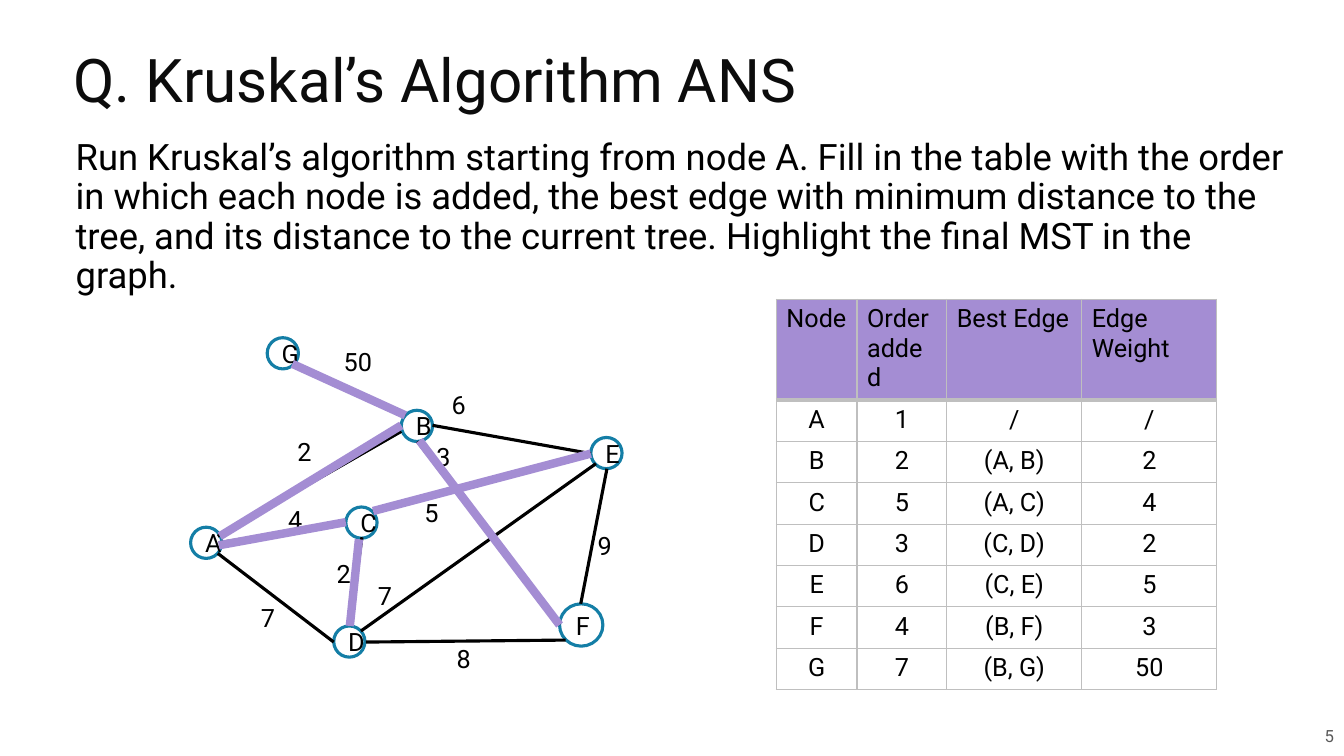
from dataclasses import dataclass
from typing import NamedTuple

from pptx import Presentation
from pptx.dml.color import RGBColor
from pptx.enum.shapes import MSO_CONNECTOR, MSO_SHAPE
from pptx.enum.text import MSO_ANCHOR, PP_ALIGN
from pptx.oxml.ns import qn
from pptx.slide import Slide
from pptx.table import _Cell
from pptx.text.text import TextFrame
from pptx.util import Inches, Pt
from lxml.etree import SubElement


@dataclass(frozen=True)
class Theme:
    font: str = "Roboto"
    black: str = "000000"
    white: str = "FFFFFF"
    title: str = "0C0C0C"
    page: str = "595959"
    ring: str = "147EA6"
    highlight: str = "A48DD3"
    grid: str = "BFBFBF"
    title_size: float = 43
    question_size: float = 26
    text_size: float = 18
    page_size: float = 12
    line: float = 2.25
    highlight_line: float = 6
    grid_line: float = 1
    header_line: float = 3


THEME = Theme()


class Box(NamedTuple):
    left: float
    top: float
    width: float
    height: float


class Node(NamedTuple):
    name: str
    left: float
    top: float
    width: float = 0.31
    height: float = 0.31


class Weight(NamedTuple):
    text: str
    left: float
    top: float
    width: float = 0.35


class Edge(NamedTuple):
    x1: float
    y1: float
    x2: float
    y2: float


NODES = [
    Node("A", 1.89, 5.23), Node("B", 3.98, 4.07), Node("D", 3.31, 6.21),
    Node("F", 5.55, 5.99, 0.43, 0.42), Node("E", 5.86, 4.34),
    Node("C", 3.43, 5.03), Node("G", 2.65, 3.35),
]
EDGES = [
    Edge(3.98, 4.28, 2.16, 5.32), Edge(2.16, 5.49, 3.31, 6.37),
    Edge(3.47, 6.21, 3.59, 5.33), Edge(3.43, 5.18, 2.2, 5.38),
    Edge(3.7, 5.07, 5.86, 4.5), Edge(6.02, 4.65, 5.76, 5.99),
    Edge(5.61, 6.35, 3.63, 6.37), Edge(5.86, 4.5, 4.29, 4.22),
    Edge(5.91, 4.6, 3.58, 6.26), Edge(4.14, 4.38, 5.55, 6.2),
    Edge(4.02, 4.12, 2.92, 3.61),
]
SPANNING_TREE = [
    Edge(3.98, 4.22, 2.18, 5.32), Edge(3.43, 5.18, 2.17, 5.41),
    Edge(3.47, 6.21, 3.56, 5.35), Edge(5.86, 4.5, 3.7, 5.07),
    Edge(5.55, 6.2, 4.16, 4.37), Edge(4.02, 4.12, 2.9, 3.61),
]
WEIGHTS = [
    Weight("50", 3.31, 3.39, 0.58), Weight("6", 4.38, 3.81),
    Weight("3", 4.23, 4.33), Weight("4", 2.76, 4.95),
    Weight("7", 2.49, 5.93), Weight("2", 3.24, 5.49),
    Weight("8", 4.43, 6.33), Weight("9", 5.83, 5.21),
    Weight("5", 4.11, 4.88, 0.44), Weight("7", 3.65, 5.71),
    Weight("2", 2.85, 4.28, 0.58),
]
QUESTION = (
    "Run Kruskal’s algorithm starting from node A. Fill in the table with the "
    "order in which each node is added, the best edge with minimum distance to "
    "the tree, and its distance to the current tree. Highlight the final MST in "
    "the graph."
)
ANSWERS = [
    ("Node", "Order added", "Best Edge", "Edge Weight"),
    ("A", "1", "/", "/"),
    ("B", "2", "(A, B)", "2"),
    ("C", "5", "(A, C)", "4"),
    ("D", "3", "(C, D)", "2"),
    ("E", "6", "(C, E)", "5"),
    ("F", "4", "(B, F)", "3"),
    ("G", "7", "(B, G)", "50"),
]
COLUMN_WIDTHS = (0.8, 0.89, 1.34, 1.34)
HEADER_HEIGHT, ROW_HEIGHT = 0.67, 0.41


def write(frame: TextFrame, text: str, size: float = THEME.text_size,
          color: str = THEME.black, align: PP_ALIGN = PP_ALIGN.LEFT,
          spacing: float = 1.0) -> None:
    frame.word_wrap = True
    paragraph = frame.paragraphs[0]
    paragraph.text = text
    paragraph.alignment = align
    paragraph.line_spacing = spacing
    paragraph.font.name = THEME.font
    paragraph.font.size = Pt(size)
    paragraph.font.color.rgb = RGBColor.from_string(color)


def add_text(slide: Slide, box: Box, anchor: MSO_ANCHOR = MSO_ANCHOR.TOP) -> TextFrame:
    frame = slide.shapes.add_textbox(*map(Inches, box)).text_frame
    frame.vertical_anchor = anchor
    return frame


def add_node(slide: Slide, node: Node) -> None:
    circle = slide.shapes.add_shape(MSO_SHAPE.OVAL, *map(Inches, node[1:]))
    circle.shadow.inherit = False
    circle.fill.solid()
    circle.fill.fore_color.rgb = RGBColor.from_string(THEME.white)
    circle.line.color.rgb = RGBColor.from_string(THEME.ring)
    circle.line.width = Pt(THEME.line)
    circle.text_frame.vertical_anchor = MSO_ANCHOR.MIDDLE
    write(circle.text_frame, node.name, align=PP_ALIGN.CENTER)


def add_edge(slide: Slide, edge: Edge, color: str, width: float) -> None:
    connector = slide.shapes.add_connector(MSO_CONNECTOR.STRAIGHT, *map(Inches, edge))
    connector.line.color.rgb = RGBColor.from_string(color)
    connector.line.width = Pt(width)
    SubElement(connector._element.spPr, qn("a:effectLst"))


def set_borders(cell: _Cell, top: float, bottom: float) -> None:
    """Draw the four cell borders; must run before the cell is filled."""
    properties = cell._tc.get_or_add_tcPr()
    side = THEME.grid_line
    for tag, width in (("lnL", side), ("lnR", side), ("lnT", top), ("lnB", bottom)):
        border = SubElement(properties, qn(f"a:{tag}"), w=str(Pt(width)))
        fill = SubElement(border, qn("a:solidFill"))
        SubElement(fill, qn("a:srgbClr"), val=THEME.grid)


def add_answers(slide: Slide) -> None:
    height = HEADER_HEIGHT + ROW_HEIGHT * (len(ANSWERS) - 1)
    box = Box(7.7, 2.97, sum(COLUMN_WIDTHS), height)
    table = slide.shapes.add_table(
        len(ANSWERS), len(COLUMN_WIDTHS), *map(Inches, box)).table
    table.horz_banding = False
    for column, width in zip(table.columns, COLUMN_WIDTHS):
        column.width = Inches(width)
    for r, answer in enumerate(ANSWERS):
        header = r == 0
        table.rows[r].height = Inches(HEADER_HEIGHT if header else ROW_HEIGHT)
        for c, text in enumerate(answer):
            cell = table.cell(r, c)
            set_borders(cell, THEME.header_line if r == 1 else THEME.grid_line,
                        THEME.header_line if header else THEME.grid_line)
            cell.fill.solid()
            cell.fill.fore_color.rgb = RGBColor.from_string(
                THEME.highlight if header else THEME.white)
            write(cell.text_frame, text,
                  align=PP_ALIGN.LEFT if header else PP_ALIGN.CENTER)
            cell.text_frame.paragraphs[0].font.bold = False


def main() -> None:
    deck = Presentation()
    deck.slide_width, deck.slide_height = Inches(13.33), Inches(7.5)
    slide = deck.slides.add_slide(deck.slide_layouts[6])

    write(add_text(slide, Box(8.65, 7.1, 4.68, 0.4), MSO_ANCHOR.MIDDLE), "5",
          THEME.page_size, THEME.page, PP_ALIGN.RIGHT)
    write(add_text(slide, Box(0.63, 0.29, 12.23, 1.11), MSO_ANCHOR.MIDDLE),
          "Q. Kruskal’s Algorithm ANS", THEME.title_size, THEME.title, spacing=0.8)
    for node in NODES:
        add_node(slide, node)
    for edge in EDGES:
        add_edge(slide, edge, THEME.black, THEME.line)
    for weight in WEIGHTS:
        write(add_text(slide, Box(weight.left, weight.top, weight.width, 0.4)),
              weight.text)
    for edge in SPANNING_TREE:
        add_edge(slide, edge, THEME.highlight, THEME.highlight_line)
    question = add_text(slide, Box(0.63, 1.33, 12.23, 1.45))
    question.margin_left, question.margin_right = Inches(0.12), Inches(0.05)
    write(question, QUESTION, THEME.question_size, spacing=0.9)
    add_answers(slide)
    deck.save("out.pptx")


if __name__ == "__main__":
    main()
